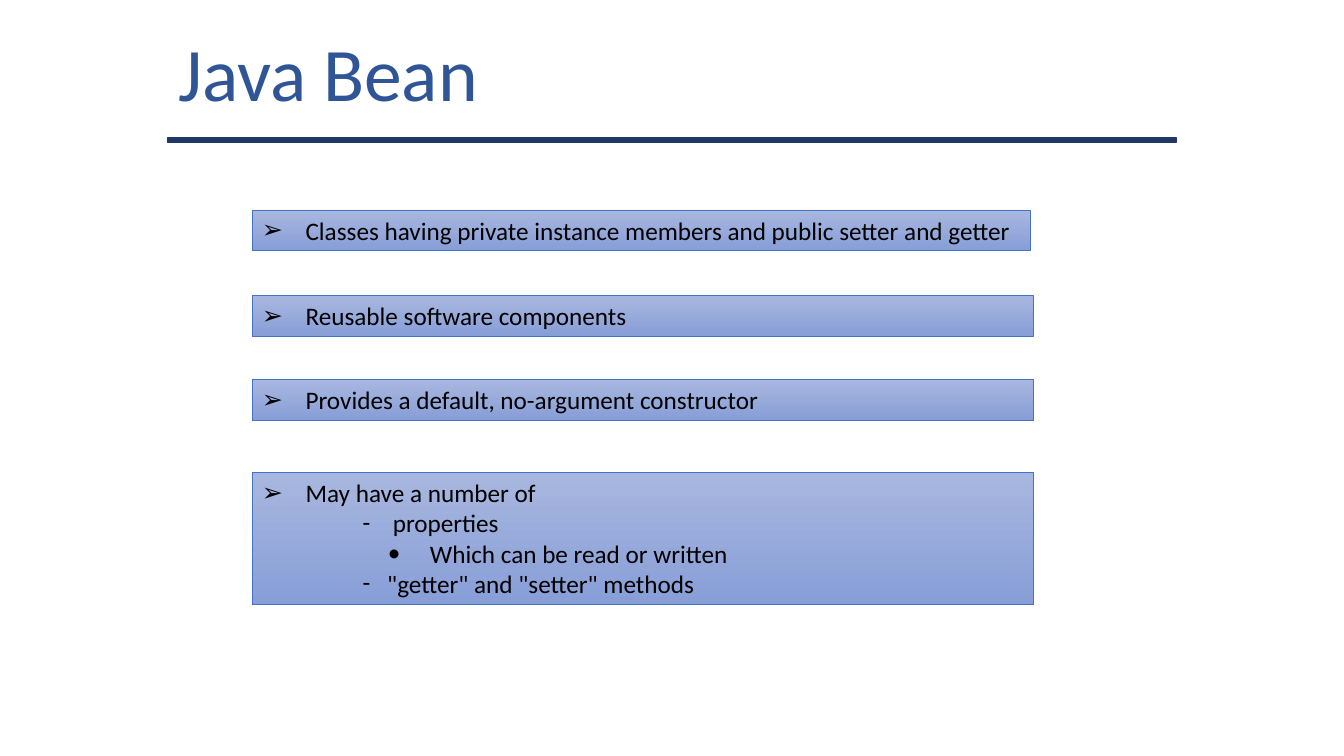
from dataclasses import dataclass

from lxml.etree import SubElement
from pptx import Presentation
from pptx.dml.color import RGBColor
from pptx.enum.shapes import MSO_SHAPE
from pptx.enum.text import MSO_ANCHOR, MSO_AUTO_SIZE, PP_ALIGN
from pptx.oxml.ns import qn
from pptx.util import Pt


@dataclass(frozen=True)
class Theme:
    """Colours, font and type sizes of the deck."""
    navy: str = "203864"
    blue: str = "2F5597"
    edge: str = "4472C4"
    light: str = "A8B7DF"
    dark: str = "889ED7"
    ink: str = "000000"
    sans: str = "Calibri"
    title: int = 54
    text: int = 18


THEME = Theme()

ARROW = ("➢", 31.2, 31.2)
CARDS = [
    (30, 556, 29, [
        ("Classes having private instance members and public setter and getter", ARROW)]),
    (91, 558, 29, [("Reusable software components", ARROW)]),
    (151, 558, 29, [("Provides a default, no-argument constructor", ARROW)]),
    (217.5, 558, 94.5, [
        ("May have a number of", ARROW),
        ("properties", ("-", 93.5, 21.5)),
        ("Which can be read or written", ("•", 120, 30)),
        ('"getter" and "setter" methods', ("-", 89.5, 17.5))]),
]


def color(code):
    """Turn a hex code into a colour."""
    return RGBColor.from_string(code)


def write(frame, text, size=THEME.text, tint=THEME.ink, font=THEME.sans,
          align=PP_ALIGN.LEFT, mark=None, more=False):
    """Write one paragraph, with an optional (sign, margin, hang) bullet mark."""
    para = frame.add_paragraph() if more else frame.paragraphs[0]
    para.alignment = align
    if mark:
        sign, left, hang = mark
        props = para._p.get_or_add_pPr()
        props.set("marL", str(Pt(left)))
        props.set("indent", str(-Pt(hang)))
        SubElement(props, qn("a:buFont")).set("typeface", font)
        SubElement(props, qn("a:buChar")).set("char", sign)
    run = para.add_run()
    run.text = text
    run.font.name, run.font.size = font, Pt(size)
    run.font.color.rgb = color(tint)


def block(slide, left, top, width, height, edge, weight):
    """Add an outlined rectangle without shadow."""
    shape = slide.shapes.add_shape(
        MSO_SHAPE.RECTANGLE, Pt(left), Pt(top), Pt(width), Pt(height))
    shape.shadow.inherit = False
    shape.line.color.rgb = color(edge)
    shape.line.width = Pt(weight)
    return shape


def header(slide, left, top, width, height):
    """Place the title and the rule below it."""
    rule = block(slide, left, top + height - 3.6, width, 3.6, THEME.navy, 1)
    rule.fill.solid()
    rule.fill.fore_color.rgb = color(THEME.navy)
    title = slide.shapes.title
    title.left, title.top = Pt(left), Pt(top)
    title.width, title.height = Pt(564), Pt(height)
    frame = title.text_frame
    frame.auto_size = MSO_AUTO_SIZE.NONE
    frame.vertical_anchor = MSO_ANCHOR.MIDDLE
    write(frame, "Java Bean", size=THEME.title, tint=THEME.blue)


def card(slide, left, top, width, height, lines):
    """Draw one gradient card with its bulleted lines."""
    shape = block(slide, left, top, width, height, THEME.edge, 0.5)
    shape.fill.gradient()
    shape.fill.gradient_angle = 270
    for stop, tint in zip(shape.fill.gradient_stops, (THEME.light, THEME.dark)):
        stop.color.rgb = color(tint)
    frame = shape.text_frame
    frame.word_wrap = True
    frame.vertical_anchor = MSO_ANCHOR.TOP
    for rank, (text, mark) in enumerate(lines):
        write(frame, text, mark=mark, more=rank > 0)


def body(slide, left, top):
    """Place the cards below the header."""
    for drop, width, height, lines in CARDS:
        card(slide, left, top + drop, width, height, lines)


def main():
    """Build and save the slide."""
    deck = Presentation()
    deck.slide_width, deck.slide_height = Pt(960), Pt(540)
    slide = deck.slides.add_slide(deck.slide_layouts[5])
    header(slide, 120, 0, 720, 102)
    body(slide, 180, 120)
    deck.save("out.pptx")


if __name__ == "__main__":
    main()
